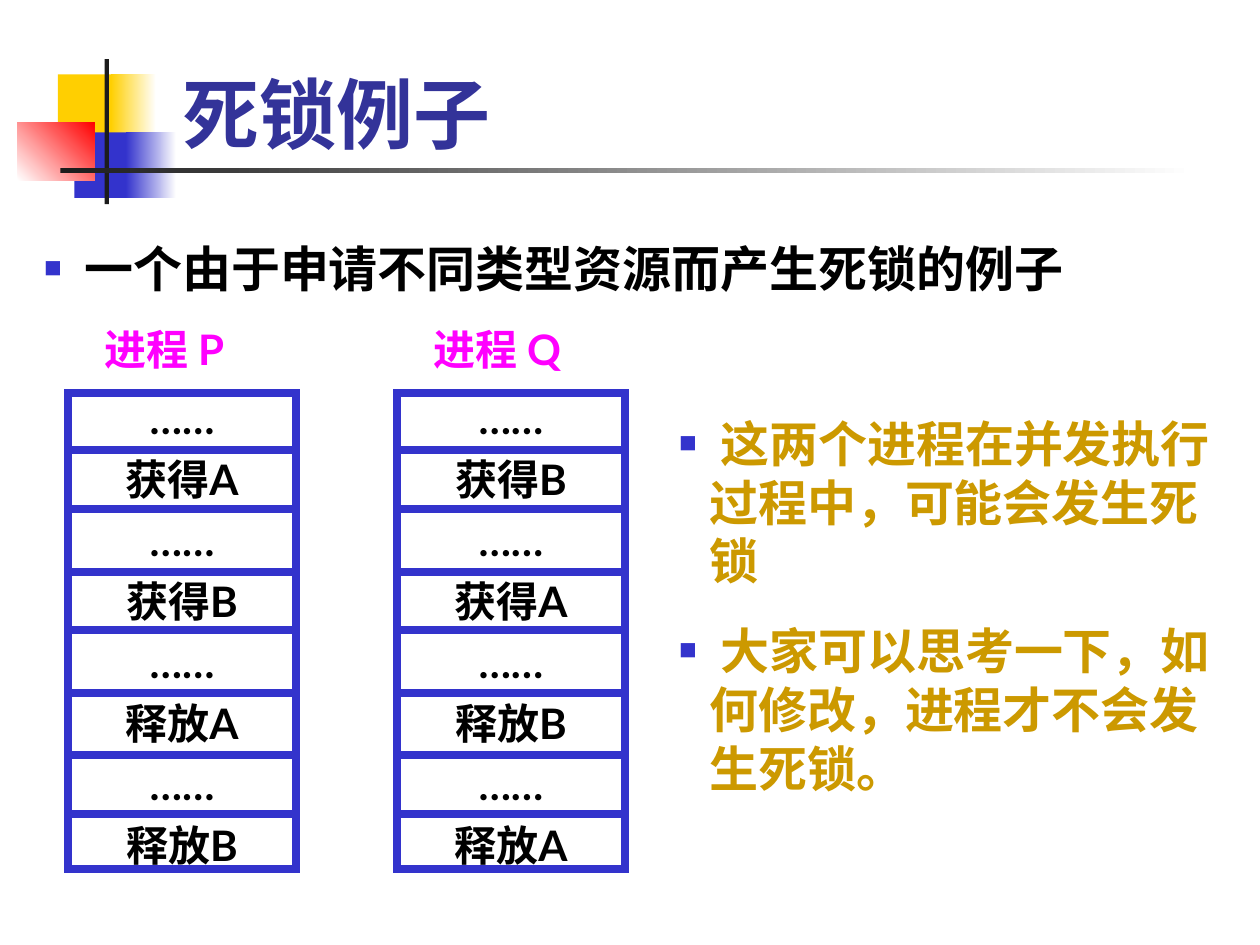
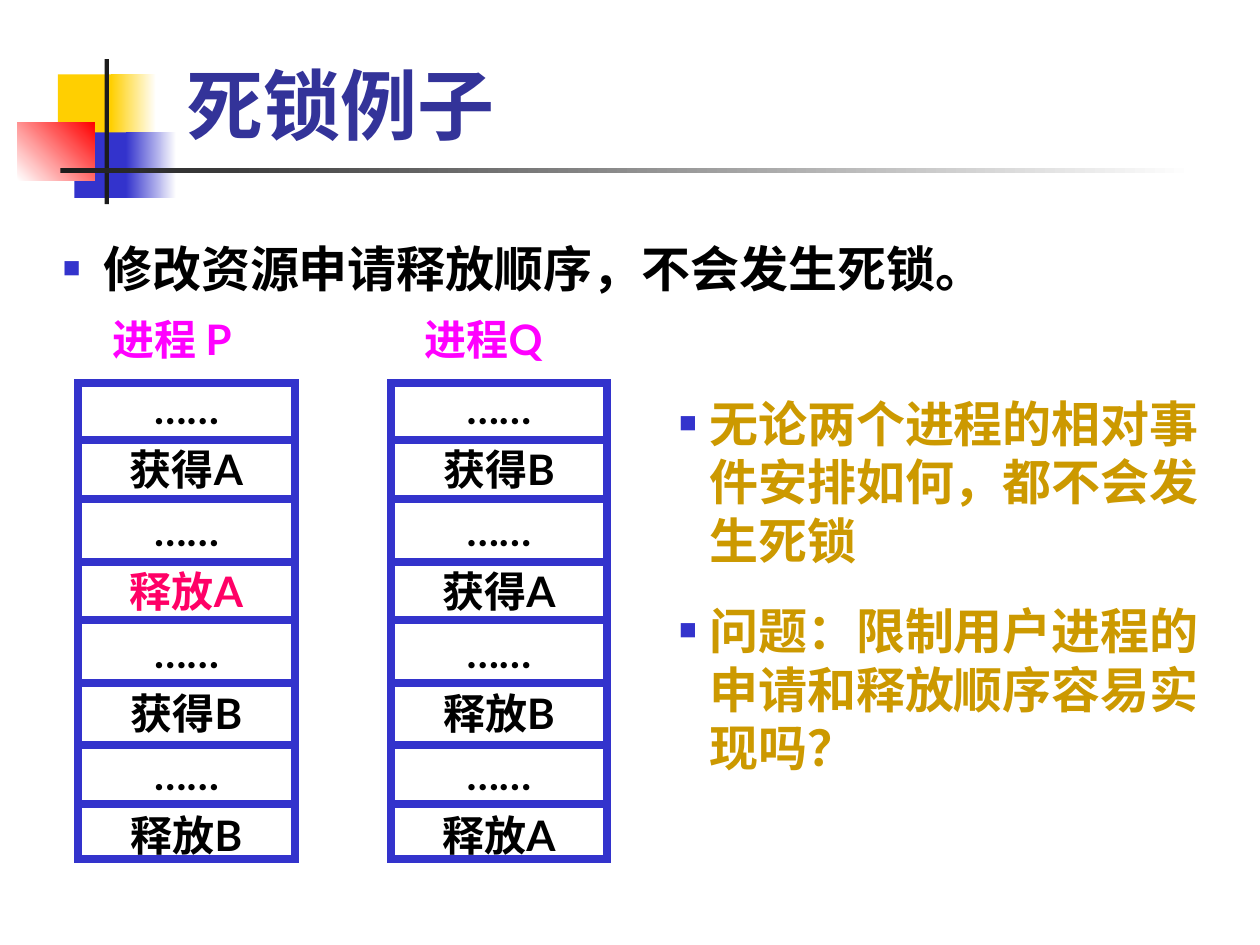
from lxml.etree import SubElement
from pptx import Presentation
from pptx.dml.color import RGBColor
from pptx.enum.shapes import MSO_CONNECTOR, MSO_SHAPE
from pptx.enum.text import MSO_ANCHOR, PP_ALIGN
from pptx.oxml.ns import qn
from pptx.util import Inches, Pt

COLUMNS, ROWS = 100, 75
WIDTH, HEIGHT = Inches(10), Inches(7.5)
FONT = "Lato"
BLUE, NAVY, YELLOW, RED = "3333CC", "333399", "FFCF01", "FF0000"
INK, WHITE, BLACK = "1C1C1C", "FFFFFF", "000000"
MAGENTA, OCHRE, PINK = "FF00FF", "CC9900", "FF0066"
FRAME_WEIGHT = 4.5
FRAME_HEIGHT = 37.8
DIVIDERS = (4.5, 9.2, 14.2, 18.8, 23.8, 28.7, 33.4)

DECORATION = (
    (4.6, 5.9, 4.8, 5.2, (YELLOW,), 0),
    (8.8, 5.9, 3.6, 5.2, (YELLOW, WHITE), 0),
    (5.9, 10.5, 4.6, 5.2, (BLUE,), 0),
    (10, 10.5, 4, 5.2, (BLUE, WHITE), 0),
    (1.4, 9.7, 6.1, 4.6, (WHITE, RED), 45),
    (8.3, 4.7, 0.35, 11.5, (INK,), 0),
    (4.8, 13.35, 90, 0.4, (INK, WHITE), 0),
)


def colour(value):
    return RGBColor.from_string(value)


def across(columns):
    return round(WIDTH * columns / COLUMNS)


def down(rows):
    return round(HEIGHT * rows / ROWS)


def place(left, top, width, height):
    return across(left), down(top), across(width), down(height)


def add_run(paragraph, text, size, hue):
    run = paragraph.add_run()
    run.text = text
    run.font.name = FONT
    run.font.size = Pt(size)
    run.font.bold = True
    run.font.color.rgb = colour(hue)


def add_bullet(paragraph, indent):
    properties = paragraph._p.get_or_add_pPr()
    properties.set("marL", str(across(indent)))
    properties.set("indent", str(-across(indent)))
    holder = SubElement(properties, qn("a:buClr"))
    SubElement(holder, qn("a:srgbClr"), val=BLUE)
    SubElement(properties, qn("a:buSzPct"), val="60000")
    SubElement(properties, qn("a:buFont"), typeface="Arial")
    SubElement(properties, qn("a:buChar"), char="■")


def write(shape, lines, size, hue, gap=0, align=PP_ALIGN.LEFT,
          anchor=MSO_ANCHOR.TOP, margins=(0, 0), bullet_indent=None):
    frame = shape.text_frame
    frame.word_wrap = True
    frame.vertical_anchor = anchor
    frame.margin_left = frame.margin_right = across(margins[0])
    frame.margin_top = frame.margin_bottom = down(margins[1])
    for index, line in enumerate(lines):
        paragraph = frame.add_paragraph() if index else frame.paragraphs[0]
        paragraph.alignment = align
        if index:
            paragraph.space_before = Pt(gap)
        if bullet_indent:
            add_bullet(paragraph, bullet_indent)
        text, line_hue = line if isinstance(line, tuple) else (line, hue)
        add_run(paragraph, text, size, line_hue)


def add_text(slide, box, lines, size, hue, **style):
    write(slide.shapes.add_textbox(*place(*box)), lines, size, hue, **style)


def add_block(slide, left, top, width, height, hues, angle):
    shape = slide.shapes.add_shape(MSO_SHAPE.RECTANGLE, *place(left, top, width, height))
    shape.shadow.inherit = False
    shape.line.fill.background()
    if len(hues) == 1:
        shape.fill.solid()
        shape.fill.fore_color.rgb = colour(hues[0])
        return
    shape.fill.gradient()
    shape.fill.gradient_angle = angle
    for position, (stop, hue) in enumerate(zip(shape.fill.gradient_stops, hues)):
        stop.color.rgb = colour(hue)
        stop.position = position


def add_divider(slide, left, top, width):
    line = slide.shapes.add_connector(
        MSO_CONNECTOR.STRAIGHT, across(left), down(top), across(left + width), down(top))
    line.line.color.rgb = colour(BLUE)
    line.line.width = Pt(FRAME_WEIGHT)
    SubElement(line._element.spPr, qn("a:effectLst"))


def add_process(slide, name, steps, left, top, width, name_offset):
    frame = slide.shapes.add_shape(
        MSO_SHAPE.RECTANGLE, *place(left, top, width, FRAME_HEIGHT))
    frame.shadow.inherit = False
    frame.fill.background()
    frame.line.color.rgb = colour(BLUE)
    frame.line.width = Pt(FRAME_WEIGHT)
    SubElement(frame._element.spPr.find(qn("a:ln")), qn("a:miter"), lim="800000")
    lines = [line for step in steps for line in ("……", step)]
    write(frame, lines, 24, BLACK, gap=6, align=PP_ALIGN.CENTER, anchor=MSO_ANCHOR.MIDDLE)
    for offset in DIVIDERS:
        add_divider(slide, left, top + offset, width)
    add_text(slide, (left + name_offset, top - 5.5, width - 1, 4), [name], 24, MAGENTA)


def add_example(presentation, title_box, heading, heading_left, remarks, remarks_top,
                processes, process_lefts, process_top, process_width, name_offset):
    slide = presentation.slides.add_slide(presentation.slide_layouts[6])
    for block in DECORATION:
        add_block(slide, *block)
    add_text(slide, title_box, ["死锁例子"], 44, NAVY,
             anchor=MSO_ANCHOR.BOTTOM, margins=(1, 0.5))
    add_text(slide, (heading_left, 18.9, 93.7, 4.7), [heading], 28, BLACK, bullet_indent=3.2)
    add_text(slide, (53.9, remarks_top, 43.3, 30), remarks, 28, OCHRE,
             gap=17.5, bullet_indent=2.4)
    for (name, steps), left in zip(processes, process_lefts):
        add_process(slide, name, steps, left, process_top, process_width, name_offset)


def main():
    presentation = Presentation()
    presentation.slide_width, presentation.slide_height = WIDTH, HEIGHT
    steps_q = ("获得B", "获得A", "释放B", "释放A")
    add_example(
        presentation, (13.5, 2.8, 80.5, 10.3),
        "一个由于申请不同类型资源而产生死锁的例子", 3.5,
        (" 这两个进程在并发执行过程中，可能会发生死锁",
         " 大家可以思考一下，如何修改，进程才不会发生死锁。"), 32.8,
        (("进程 P", ("获得A", "获得B", "释放A", "释放B")), ("进程 Q", steps_q)),
        (5.4, 31.5), 31.2, 18.1, 2.9)
    add_example(
        presentation, (13.8, 2.1, 84.2, 10.3),
        "修改资源申请释放顺序，不会发生死锁。", 5,
        ("无论两个进程的相对事件安排如何，都不会发生死锁",
         "问题：限制用户进程的申请和释放顺序容易实现吗？"), 31.2,
        (("进程 P", ("获得A", ("释放A", PINK), "获得B", "释放B")), ("进程Q", steps_q)),
        (6.2, 31), 30.4, 17.2, 2.7)
    presentation.save("out.pptx")


if __name__ == "__main__":
    main()
